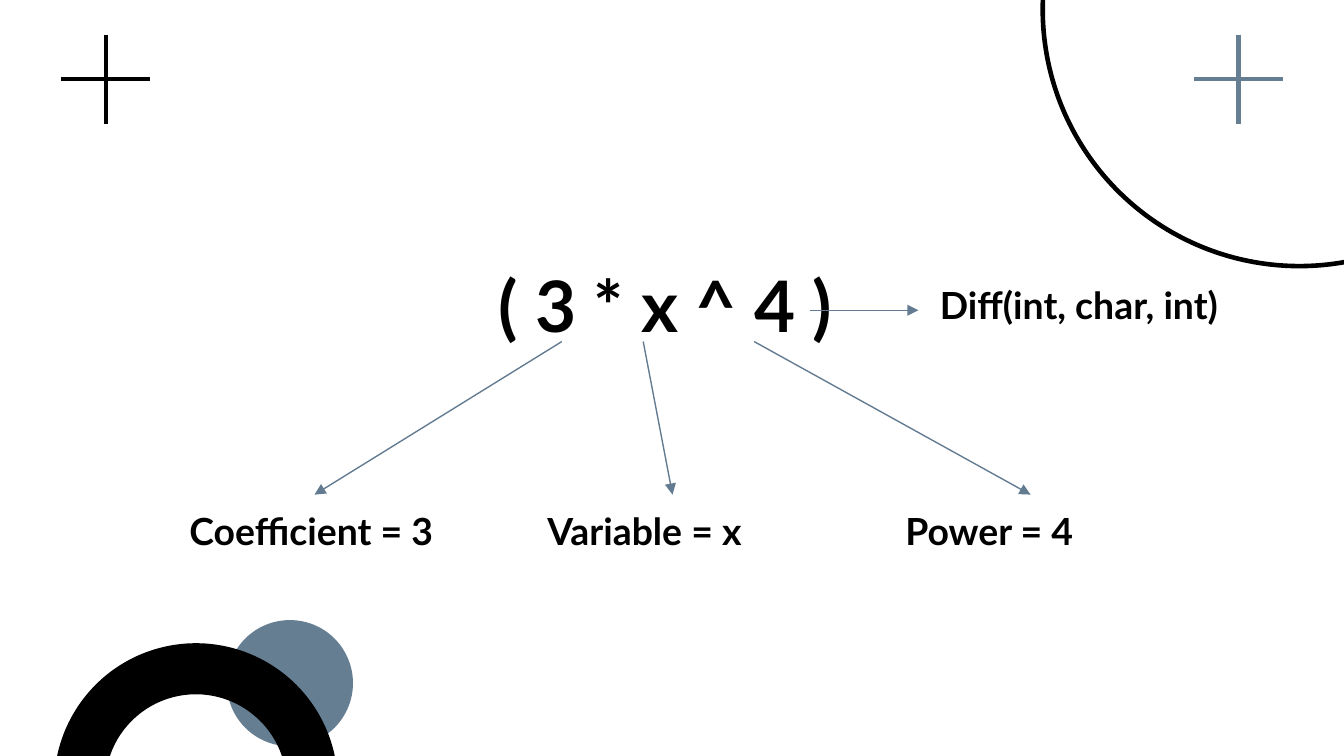
from pptx import Presentation
from pptx.dml.color import RGBColor
from pptx.enum.shapes import MSO_CONNECTOR as Connector, MSO_SHAPE as Shape
from pptx.enum.text import MSO_AUTO_SIZE as AutoSize
from pptx.oxml.ns import qn
from pptx.util import Pt
from lxml.etree import SubElement

COLORS = {"ink": "000000", "slate": "667E92", "arrow": "637B90"}
FONT = "Lato"
RULE_WIDTH = 2.46
LABEL_TOP = 265
LABEL_WIDTH = 148.4


def rgb(name):
    return RGBColor.from_string(COLORS[name])


def add_preset(slide, kind, left, top, size, fill=None, line=None):
    """Add a square preset shape with only the given fill and outline."""
    shape = slide.shapes.add_shape(kind, Pt(left), Pt(top), Pt(size), Pt(size))
    shape.shadow.inherit = False
    if fill:
        shape.fill.solid()
        shape.fill.fore_color.rgb = rgb(fill)
    else:
        shape.fill.background()
    if line:
        shape.line.color.rgb = rgb(line)
        shape.line.width = Pt(RULE_WIDTH)
    else:
        shape.line.fill.background()
    return shape


def add_line(slide, start, end, color, width):
    line = slide.shapes.add_connector(
        Connector.STRAIGHT, *(Pt(value) for value in (*start, *end)))
    line.line.color.rgb = rgb(color)
    line.line.width = Pt(width)
    SubElement(line._element.spPr, qn("a:effectLst"))
    return line


def add_arrow(slide, start, end):
    arrow = add_line(slide, start, end, "arrow", 0.75)
    SubElement(arrow.line._get_or_add_ln(), qn("a:tailEnd"), type="triangle")


def add_plus(slide, x, y, color, arm=23.8):
    add_line(slide, (x, y - arm), (x, y + arm), color, RULE_WIDTH)
    add_line(slide, (x - arm, y), (x + arm, y), color, RULE_WIDTH)


def add_text(slide, text, left, top, width, height, size=20):
    box = slide.shapes.add_textbox(Pt(left), Pt(top), Pt(width), Pt(height))
    frame = box.text_frame
    frame.word_wrap = True
    frame.auto_size = AutoSize.SHAPE_TO_FIT_TEXT
    frame.margin_left = frame.margin_right = Pt(7.2)
    frame.margin_top = frame.margin_bottom = Pt(7.2)
    paragraph = frame.paragraphs[0]
    paragraph.text = text
    paragraph.font.name = FONT
    paragraph.font.size = Pt(size)
    paragraph.font.bold = True
    paragraph.font.color.rgb = rgb("ink")


def add_decoration(slide):
    add_preset(slide, Shape.OVAL, 558.6, -132.4, 275, line="ink")
    add_plus(slide, 663.4, 42.4, "slate")
    add_preset(slide, Shape.OVAL, 121.5, 332.2, 67.6, fill="slate")
    arch = add_preset(slide, Shape.BLOCK_ARC, 29, 344.6, 152, fill="ink")
    arch.adjustments[2] = 0.18
    add_plus(slide, 56.7, 42.4, "ink")


def add_term_labels(slide):
    """Label each part of the expression and point an arrow at its label."""
    terms = [("Coefficient = 3", 301), ("Variable = x", 344.6), ("Power = 4", 404)]
    for index, (text, term_x) in enumerate(terms):
        left = 94.3 + 191.8 * index
        add_text(slide, text, left, LABEL_TOP, LABEL_WIDTH, 38.6)
        add_arrow(slide, (term_x, 183), (left + LABEL_WIDTH / 2, LABEL_TOP))


def main():
    presentation = Presentation()
    presentation.slide_width = Pt(720)
    presentation.slide_height = Pt(405)
    slide = presentation.slides.add_slide(presentation.slide_layouts[6])
    add_decoration(slide)
    add_text(slide, "( 3 * x ^ 4 )", 260.2, 133.2, 200, 60.5, size=38)
    add_term_labels(slide)
    add_arrow(slide, (434, 166.2), (492, 166.2))
    add_text(slide, "Diff(int, char, int)", 496.4, 144.2, 170, 38.6)
    presentation.save("out.pptx")


if __name__ == "__main__":
    main()
